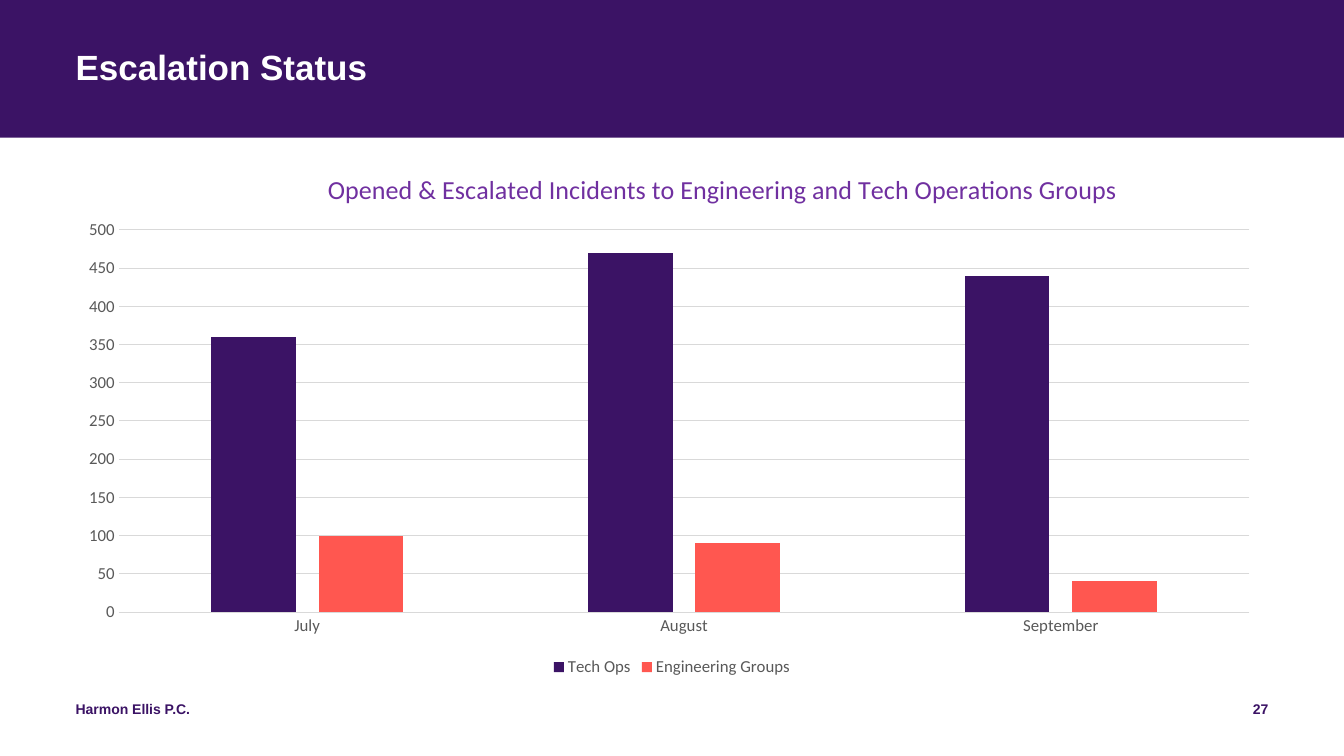
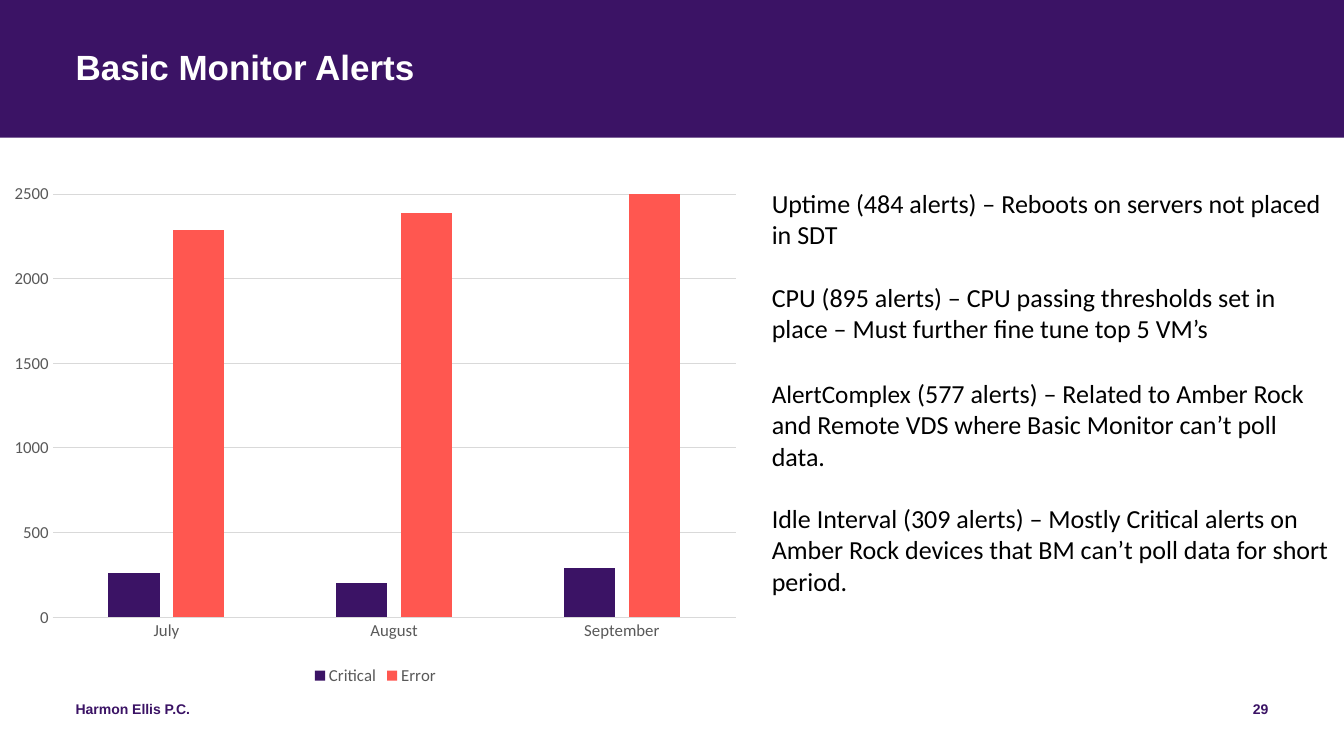
from pptx import Presentation
from pptx.chart.data import CategoryChartData
from pptx.dml.color import RGBColor
from pptx.enum.chart import XL_CHART_TYPE, XL_LEGEND_POSITION, XL_TICK_MARK
from pptx.enum.shapes import MSO_SHAPE
from pptx.enum.text import PP_ALIGN
from pptx.oxml import parse_xml
from pptx.oxml.ns import nsdecls
from pptx.util import Inches, Pt

PURPLE = RGBColor(0x3B, 0x13, 0x65)
CORAL = RGBColor(0xFF, 0x57, 0x50)
VIOLET = RGBColor(0x70, 0x30, 0xA0)
GRAY = RGBColor(0x59, 0x59, 0x59)
GRID_GRAY = RGBColor(0xD9, 0xD9, 0xD9)
WHITE = RGBColor(0xFF, 0xFF, 0xFF)
BLACK = RGBColor(0, 0, 0)

WIDTH, HEIGHT = Inches(13.33), Inches(7.5)
COLUMN, ROW = WIDTH / 160, HEIGHT / 90
MARGIN = 9
MONTHS = ("July", "August", "September")
FIRM = "Harmon Ellis P.C."


def place(left, top, width, height):
    return (round(left * COLUMN), round(top * ROW),
            round(width * COLUMN), round(height * ROW))


def style_font(font, size, color, name="Calibri", bold=False):
    font.size, font.name, font.bold = Pt(size), name, bold
    font.color.rgb = color


def add_span(para, text, *style):
    span = para.add_run()
    span.text = text
    style_font(span.font, *style)


def add_label(page, box, text, size, color, align=PP_ALIGN.LEFT, spacing=1.0):
    frame = page.shapes.add_textbox(*place(*box)).text_frame
    frame.word_wrap = True
    frame.margin_left = frame.margin_right = 0
    frame.margin_top = frame.margin_bottom = 0
    para = frame.paragraphs[0]
    para.alignment, para.line_spacing = align, spacing
    add_span(para, text, size, color, "Arial", True)


def add_page(deck, title, number):
    page = deck.slides.add_slide(deck.slide_layouts[6])
    band = page.shapes.add_shape(MSO_SHAPE.RECTANGLE, *place(0, 0, 160, 16.4))
    band.shadow.inherit = False
    band.fill.solid()
    band.fill.fore_color.rgb = PURPLE
    band.line.fill.background()
    add_label(page, (MARGIN, 6, 142, 9.75), title, 25, WHITE, spacing=0.9)
    add_label(page, (MARGIN, 83.4, 54, 4.8), FIRM, 10, PURPLE)
    add_label(page, (115, 83.4, 36, 4.8), number, 10, PURPLE, PP_ALIGN.RIGHT)
    return page


def set_layout(parent, index, target="", **shares):
    for old in parent.xpath("c:layout"):
        parent.remove(old)
    inner = f'<c:layoutTarget val="{target}"/>' if target else ""
    modes = '<c:xMode val="edge"/><c:yMode val="edge"/>'
    sizes = "".join(f'<c:{key} val="{share}"/>' for key, share in shares.items())
    parent.insert(index, parse_xml(
        f'<c:layout {nsdecls("c")}><c:manualLayout>{inner}{modes}{sizes}'
        "</c:manualLayout></c:layout>"))


def add_title(chart, text):
    para = chart.chart_title.text_frame.paragraphs[0]
    add_span(para, text, 18.6, VIOLET)
    chart.chart_title.include_in_layout = False
    set_layout(chart.chart_title.element, 1, x=0.21, y=0.03)


def add_columns(page, box, series, top_value, step, plot_shares):
    data = CategoryChartData()
    data.categories = MONTHS
    for name, values in series:
        data.add_series(name, values)
    chart = page.shapes.add_chart(
        XL_CHART_TYPE.COLUMN_CLUSTERED, *place(*box), data).chart
    style_font(chart.font, 10, BLACK)
    chart.has_title = False
    chart.has_legend = True
    chart.legend.position = XL_LEGEND_POSITION.BOTTOM
    chart.legend.include_in_layout = False
    style_font(chart.legend.font, 12, GRAY)

    plot = chart.plots[0]
    plot.vary_by_categories = False
    plot.gap_width, plot.overlap = 219, -27
    for bars, color in zip(plot.series, (PURPLE, CORAL)):
        bars.format.fill.solid()
        bars.format.fill.fore_color.rgb = color

    months, counts = chart.category_axis, chart.value_axis
    for axis in (months, counts):
        axis.major_tick_mark = axis.minor_tick_mark = XL_TICK_MARK.NONE
        style_font(axis.tick_labels.font, 12, GRAY)
    counts.minimum_scale, counts.maximum_scale = 0, top_value
    counts.major_unit = step
    counts.format.line.fill.background()
    for line in (months.format.line, counts.major_gridlines.format.line):
        line.color.rgb, line.width = GRID_GRAY, Pt(0.75)
    set_layout(chart.element.xpath("c:chart/c:plotArea")[0], 0, "inner",
               **plot_shares)
    return chart


def add_notes_column(page, box, notes):
    frame = page.shapes.add_textbox(*place(*box)).text_frame
    frame.word_wrap = True
    for index, spans in enumerate(notes):
        para = frame.add_paragraph() if index else frame.paragraphs[0]
        if index:
            para.space_before = Pt(22.5)
        for text, size in spans:
            add_span(para, text, size, BLACK)


def add_escalation_page(deck):
    page = add_page(deck, "Escalation Status", "27")
    chart = add_columns(
        page, (8.4, 17.9, 143.2, 63.2),
        (("Tech Ops", (360, 470, 440)), ("Engineering Groups", (100, 90, 40))),
        500, 50, dict(x=0.04, y=0.15, w=0.94, h=0.72))
    add_title(chart, "Opened & Escalated Incidents to Engineering "
                     "and Tech Operations Groups")


def add_alerts_page(deck):
    page = add_page(deck, "Basic Monitor Alerts", "29")
    add_notes_column(page, (90.7, 21.7, 69.2, 46.6), (
        (("Uptime (484 alerts) – Reboots on servers not placed in SDT", 18.6),),
        (("CPU (895 alerts) – CPU passing thresholds set in place – "
          "Must further fine tune top 5 VM’s", 18.6),),
        (("AlertComplex", 18), (" ", 20),
         ("(577 alerts) – Related to Amber Rock and Remote VDS where "
          "Basic Monitor can’t poll data.", 18.6)),
        (("Idle Interval (309 alerts) – Mostly Critical alerts on Amber Rock "
          "devices that BM can’t poll data for short period.", 18.6),)))
    add_columns(
        page, (0, 20.65, 89.4, 61.45),
        (("Critical", (260, 200, 290)), ("Error", (2290, 2390, 2600))),
        2500, 500, dict(x=0.07, y=0.04, w=0.91, h=0.82))


def main():
    deck = Presentation()
    deck.slide_width, deck.slide_height = WIDTH, HEIGHT
    add_escalation_page(deck)
    add_alerts_page(deck)
    deck.save("out.pptx")


if __name__ == "__main__":
    main()
